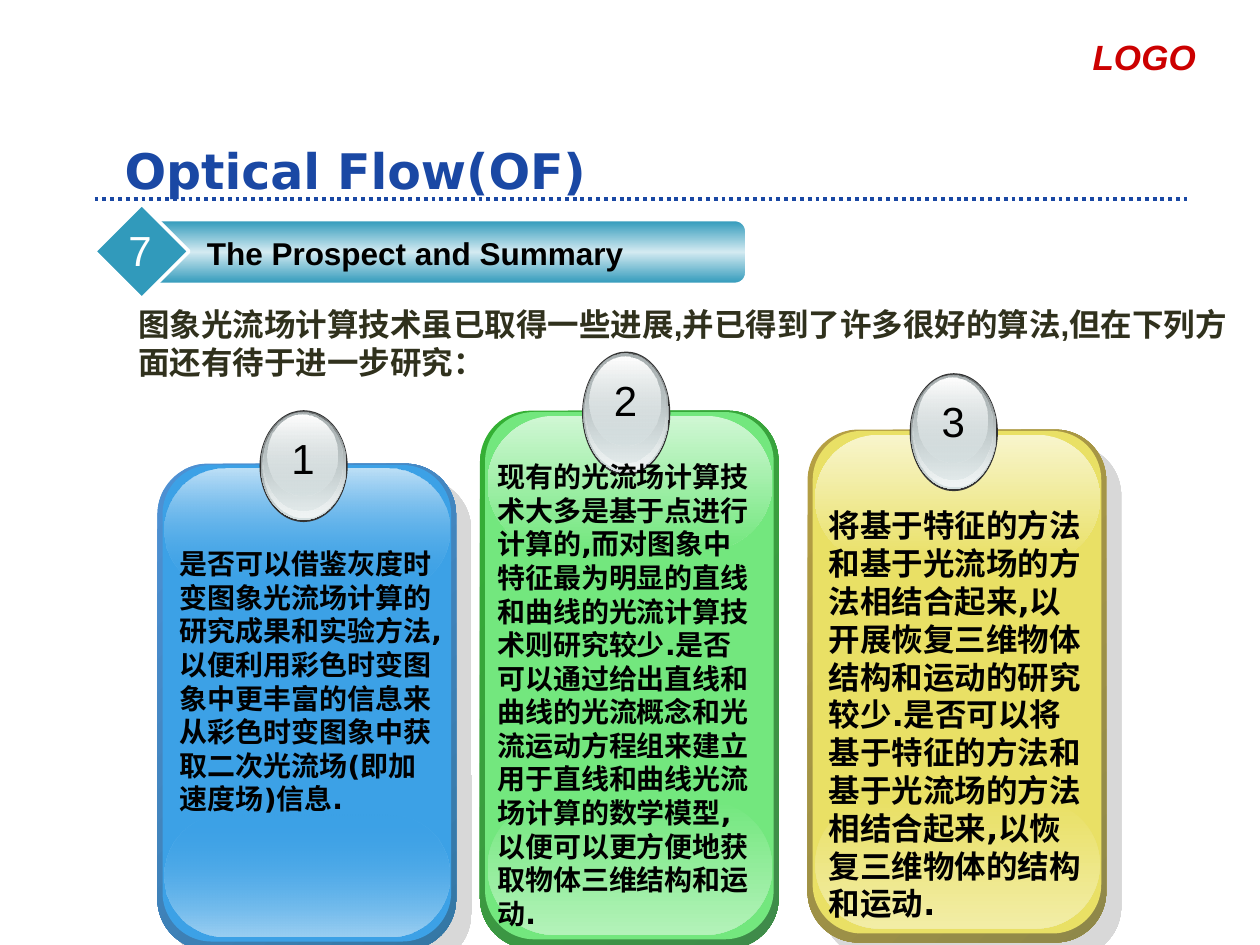
from dataclasses import dataclass
from typing import NamedTuple

from lxml.etree import SubElement
from pptx import Presentation
from pptx.dml.color import RGBColor as RGB
from pptx.enum.dml import MSO_LINE as Dash
from pptx.enum.shapes import MSO_CONNECTOR as Link, MSO_SHAPE as Kind
from pptx.enum.text import MSO_ANCHOR as Anchor, MSO_AUTO_SIZE as Fit, PP_ALIGN as Align
from pptx.oxml import parse_xml
from pptx.oxml.ns import nsdecls, qn
from pptx.util import Inches, Pt

BLACK, WHITE = RGB(0, 0, 0), RGB(255, 255, 255)
NAVY, RED = RGB(0x1A, 0x48, 0xA4), RGB(0xCC, 0, 0)
OLIVE, TEAL = RGB(0x30, 0x31, 0x1D), RGB(0x31, 0x9A, 0xBB)
ICE = RGB(0xD3, 0xEA, 0xF1)
DARK, STEEL = RGB(0x33, 0x33, 0x33), RGB(0x63, 0x68, 0x69)
SILVER, PALE = RGB(0xD6, 0xE1, 0xE2), RGB(0xF1, 0xF5, 0xF5)
GREY, SHADE = RGB(0xAA, 0xB2, 0xB3), RGB(0xB2, 0xB2, 0xB2)
SANS, ARIAL = "DejaVu Sans", "Arial"


class Box(NamedTuple):
    left: float
    top: float
    width: float
    height: float


class Stop(NamedTuple):
    color: RGB
    alpha: int = 100


class Grad(NamedTuple):
    stops: tuple[Stop, ...]
    angle: int = 90


class Ring(NamedTuple):
    """One badge layer; y and tall are shares of the badge height."""
    x: float
    y: float
    wide: float
    tall: float
    fill: object


@dataclass
class Panel:
    num: str
    left: float
    top: float
    height: float
    rim: tuple[RGB, RGB]
    face: RGB
    light: RGB
    glow: RGB
    text: Box
    size: int
    lines: list[str]
    shadow: bool = True
    fade: tuple[int, int] = (100, 100)


RINGS = [
    Ring(0, 0, 0.7, 1, DARK),
    Ring(0.01, 0.01, 0.68, 0.97, Grad((Stop(STEEL), Stop(SILVER)))),
    Ring(0.02, 0.02, 0.66, 0.94, Grad((Stop(SILVER, 0), Stop(PALE)))),
    Ring(0.03, 0.02, 0.63, 0.88, Grad((Stop(GREY), Stop(SILVER, 48)))),
    Ring(0.06, 0.04, 0.56, 0.72, Grad((Stop(WHITE), Stop(SILVER, 38)))),
]

PANELS = [
    Panel("1", 1.25, 3.68, 3.86,
          (RGB(0x4E, 0x91, 0xD4), RGB(0x34, 0x77, 0xA4)), RGB(0x3C, 0xA1, 0xE6),
          RGB(0xBE, 0xE0, 0xF7), RGB(0x9B, 0xCF, 0xF2),
          Box(1.33, 4.29, 2.25, 2.24), 16,
          ["是否可以借鉴灰度时变图象光流场计算的研究成果和实验方法,以便利用彩色时变图象中"
           "更丰富的信息来从彩色时变图象中获取二次光流场(即加速度场)信息."], fade=(0, 0)),
    Panel("3", 6.41, 3.41, 4.07,
          (RGB(0xB5, 0x9F, 0x43), RGB(0x8F, 0x88, 0x49)), RGB(0xE9, 0xE0, 0x65),
          RGB(0xF8, 0xF5, 0xCC), RGB(0xF2, 0xED, 0xA6),
          Box(6.48, 3.97, 2.25, 3.4), 18,
          ["将基于特征的方法和基于光流场的方法相结合起来,以开展恢复三维物体结构和运动的研究",
           "较少.是否可以将基于特征的方法和基于光流场的方法相结合起来,以恢复三维物体的结构和运动."]),
    Panel("2", 3.81, 3.26, 4.27,
          (RGB(0x34, 0xB0, 0x34), RGB(0x3F, 0x8B, 0x4A)), RGB(0x73, 0xE7, 0x7E),
          RGB(0xD0, 0xF7, 0xD4), RGB(0xB3, 0xF2, 0xB9),
          Box(3.85, 3.6, 2.25, 3.83), 16,
          ["现有的光流场计算技术大多是基于点进行计算的,而对图象中特征最为明显的直线和曲线的"
           "光流计算技术则研究较少.是否可以通过给出直线和曲线的光流概念和光流运动方程组来建立"
           "用于直线和曲线光流场计算的数学模型,以便可以更方便地获取物体三维结构和运动."],
          shadow=False),
]


def paint(shape, fill) -> None:
    """Fill with one colour or with a gradient."""
    if isinstance(fill, RGB):
        shape.fill.solid()
        shape.fill.fore_color.rgb = fill
        return
    last = len(fill.stops) - 1
    stops = "".join(
        f'<a:gs pos="{100000 * i // last}"><a:srgbClr val="{stop.color}">'
        f'<a:alpha val="{stop.alpha * 1000}"/></a:srgbClr></a:gs>'
        for i, stop in enumerate(fill.stops))
    shape.fill.background()
    props = shape._element.spPr
    props.replace(props.find(qn("a:noFill")), parse_xml(
        f'<a:gradFill {nsdecls("a")} rotWithShape="1"><a:gsLst>{stops}</a:gsLst>'
        f'<a:lin ang="{fill.angle * 60000}" scaled="0"/></a:gradFill>'))


def draw(shapes, kind: Kind, box: Box, fill, adj: float | None = None, edge: float = 0):
    """Add a preset shape, with a white outline if edge is a width."""
    shape = shapes.add_shape(kind, *map(Inches, box))
    shape.shadow.inherit = False
    paint(shape, fill)
    if adj is not None:
        shape.adjustments[0] = adj
    if edge:
        shape.line.color.rgb = WHITE
        shape.line.width = Pt(edge)
    else:
        shape.line.fill.background()
    return shape


def write(shapes, box: Box, lines: list[str], color: RGB, align: Align = Align.LEFT,
          fit: Fit = Fit.SHAPE_TO_FIT_TEXT, wrap: bool = True,
          anchor: Anchor = Anchor.TOP, **style) -> None:
    frame = shapes.add_textbox(*map(Inches, box)).text_frame
    look = {"text": "\n".join(lines), "word_wrap": wrap,
            "auto_size": fit, "vertical_anchor": anchor}
    for key, value in look.items():
        setattr(frame, key, value)
    for para in frame.paragraphs:
        para.alignment = align
        for run in para.runs:
            run.font.color.rgb = color
            for key, value in style.items():
                setattr(run.font, key, value)


def cast(shape) -> None:
    """Drop a hard shadow to the lower right."""
    effects = shape._element.spPr.find(qn("a:effectLst"))
    effects.append(parse_xml(
        f'<a:outerShdw {nsdecls("a")} blurRad="0" dist="{Pt(12.1)}" dir="2700000" '
        f'algn="ctr" rotWithShape="0"><a:srgbClr val="{SHADE}">'
        '<a:alpha val="50000"/></a:srgbClr></a:outerShdw>'))


def card(slide, panel: Panel) -> None:
    shapes = slide.shapes.add_group_shape().shapes
    left, top, high = panel.left, panel.top, panel.height
    rim = Grad(tuple(map(Stop, panel.rim)), 45)
    base = draw(shapes, Kind.ROUNDED_RECTANGLE, Box(left, top, 2.37, high), rim, 0.17)
    if panel.shadow:
        cast(base)
    draw(shapes, Kind.ROUNDED_RECTANGLE,
         Box(left + 0.04, top + 0.01, 2.29, high * 0.98), panel.face, 0.17)
    gloss = high / 4
    low, up = (Stop(panel.face, alpha) for alpha in panel.fade)
    for y, stops in ((top + high - 0.11 - gloss, (low, Stop(panel.glow))),
                     (top + 0.04, (Stop(panel.light), up))):
        draw(shapes, Kind.ROUNDED_RECTANGLE, Box(left + 0.06, y, 2.26, gloss),
             Grad(stops), 0.5)
    x, y, tall = left + 0.81, top - high * 0.11, high * 0.23
    for ring in RINGS:
        draw(shapes, Kind.OVAL, Box(x + ring.x, y + ring.y * tall, ring.wide,
                                    ring.tall * tall), ring.fill)
    write(shapes, Box(x + 0.15, y + 0.13, 0.39, 0.5), [panel.num], BLACK,
          Align.CENTER, size=Pt(24), name=ARIAL)
    write(shapes, panel.text, panel.lines, BLACK,
          size=Pt(panel.size), name=SANS, bold=True)


def rule(slide) -> None:
    line = slide.shapes.add_connector(
        Link.STRAIGHT, *map(Inches, (0.75, 1.58, 9.42, 1.58)))
    SubElement(line._element.spPr, qn("a:effectLst"))
    line.line.color.rgb = NAVY
    line.line.width = Pt(2.25)
    line.line.dash_style = Dash.ROUND_DOT


def banner(slide) -> None:
    shapes = slide.shapes.add_group_shape().shapes
    draw(shapes, Kind.ROUNDED_RECTANGLE, Box(1.17, 1.75, 4.75, 0.5),
         Grad((Stop(TEAL), Stop(ICE), Stop(TEAL))), 0.17, 1)
    draw(shapes, Kind.DIAMOND, Box(0.75, 1.62, 0.75, 0.75), TEAL, edge=2)
    write(shapes, Box(1.42, 1.81, 3.75, 0.4), ["The Prospect and Summary"], BLACK,
          Align.CENTER, size=Pt(18), name=ARIAL, bold=True)
    write(shapes, Box(0.92, 1.73, 0.38, 0.5), ["7"], WHITE, Align.CENTER,
          wrap=False, size=Pt(24), name=ARIAL)


def main() -> None:
    deck = Presentation()
    deck.slide_width, deck.slide_height = Inches(10), Inches(7.5)
    slide = deck.slides.add_slide(deck.slide_layouts[6])
    rule(slide)
    for panel in PANELS:
        card(slide, panel)
    write(slide.shapes, Box(6.42, 0.23, 3.17, 0.27), ["LOGO"], RED, Align.RIGHT,
          Fit.NONE, size=Pt(20), name=ARIAL, bold=True, italic=True)
    banner(slide)
    write(slide.shapes, Box(0.89, 1.06, 7.42, 0.58), ["Optical Flow(OF)"], NAVY,
          fit=Fit.NONE, anchor=Anchor.MIDDLE, size=Pt(28), name=SANS, bold=True)
    write(slide.shapes, Box(1, 2.37, 8.96, 0.7),
          ["图象光流场计算技术虽已取得一些进展,并已得到了许多很好的算法,但在下列方面还有待于进一步研究："],
          OLIVE, size=Pt(18), name=ARIAL, bold=True)
    deck.save("out.pptx")


if __name__ == "__main__":
    main()
